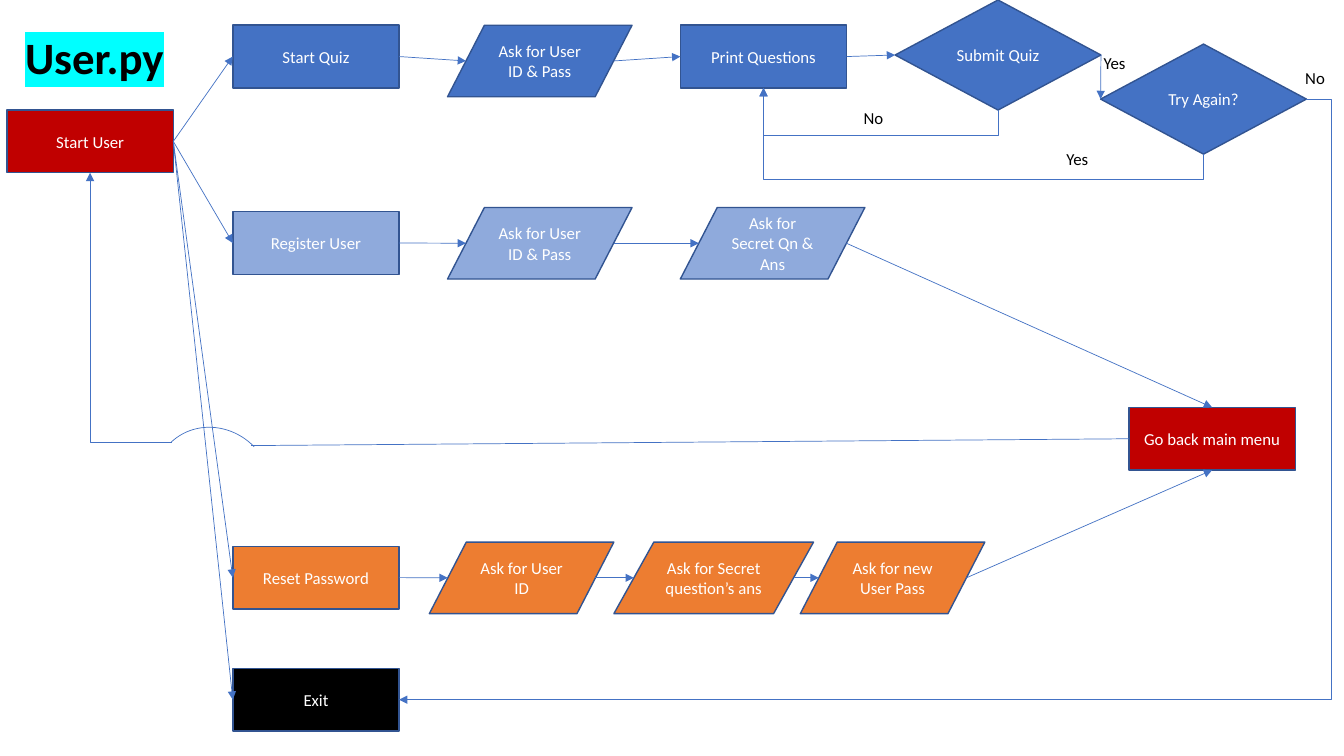
from lxml import etree
from pptx import Presentation
from pptx.dml.color import RGBColor
from pptx.enum import shapes, text
from pptx.oxml import ns
from pptx.util import Pt

# Content: colours
RED, BLUE, PALE, ORANGE, BLACK = "C00000", "4472C4", "8FAADC", "ED7D31", "000000"
WHITE, EDGE, MARK = "FFFFFF", "325491", "00FFFF"

# Content: kinds of step (preset, width, height, inset of the side anchors)
KINDS = {
    "process": (shapes.MSO_SHAPE.FLOWCHART_PROCESS, 118.8, 44.8, 0),
    "input": (shapes.MSO_SHAPE.FLOWCHART_DATA, 131.8, 51.1, 0.1),
    "decision": (shapes.MSO_SHAPE.FLOWCHART_DECISION, 147, 78.6, 0),
}
COLUMN = 166.3
WIDE_INPUT = 142.6

# Content: steps (key: kind, wording, colour, left, top, optional width)
STEPS = {
    "start": ("process", "Start User", RED, 5, 78.6),
    "quiz": ("process", "Start Quiz", BLUE, COLUMN, 18),
    "register": ("process", "Register User", PALE, COLUMN, 151.2),
    "reset": ("process", "Reset Password", ORANGE, COLUMN, 390.2),
    "exit": ("process", "Exit", BLACK, COLUMN, 477.4),
    "quiz login": ("input", "Ask for User ID & Pass", BLUE, 319.7, 18),
    "questions": ("process", "Print Questions", BLUE, 486, 18),
    "submit": ("decision", "Submit Quiz", BLUE, 639.4, 0),
    "again": ("decision", "Try Again?", BLUE, 786.2, 31.5),
    "new login": ("input", "Ask for User ID & Pass", PALE, 319.7, 148.2),
    "secret": ("input", "Ask for Secret Qn & Ans", PALE, 486, 148.2),
    "menu": ("process", "Go back main menu", RED, 806.4, 291),
    "reset id": ("input", "Ask for User ID", ORANGE, 306.7, 387.2),
    "answer": ("input", "Ask for Secret question’s ans", ORANGE, 438.5, 387.2, WIDE_INPUT),
    "new pass": ("input", "Ask for new User Pass", ORANGE, 571.7, 387.2),
}

# Content: straight arrows (step, side, step, side)
ARROWS = [
    ("start", "right", "quiz", "left"),
    ("start", "right", "register", "left"),
    ("start", "right", "reset", "left"),
    ("start", "right", "exit", "left"),
    ("quiz", "right", "quiz login", "left"),
    ("quiz login", "right", "questions", "left"),
    ("questions", "right", "submit", "left"),
    ("submit", "right", "again", "left"),
    ("register", "right", "new login", "left"),
    ("new login", "right", "secret", "left"),
    ("secret", "right", "menu", "top"),
    ("reset", "right", "reset id", "left"),
    ("reset id", "right", "answer", "left"),
    ("answer", "right", "new pass", "left"),
    ("new pass", "right", "menu", "bottom"),
]

# Content: bent arrows (step, side, step, side, distance of the turn from the begin)
LOOPS = [
    ("submit", "bottom", "questions", "bottom", 18),
    ("again", "bottom", "questions", "bottom", 18),
    ("again", "right", "exit", "right", 18),
]

# Content: return line, which hops over the lines from the start
HOP = (111.6, 303.8, 81.4, 87.1)
HOP_LEFT, HOP_RIGHT = (122.7, 315.7), (179.3, 318.3)

# Content: labels (wording, left, top)
LABELS = [("No", 609.8, 73.4), ("Yes", 781.2, 34.2), ("Yes", 754.6, 102.6), ("No", 925.2, 45)]
LABEL_SIZE = (42.5, 21.8)
TITLE, TITLE_BOX = "User.py", (10.8, 18, 132.5, 46)

deck = Presentation()
deck.slide_width, deck.slide_height = Pt(960), Pt(540)
page = deck.slides.add_slide(deck.slide_layouts[6])


def colour(value):
    return RGBColor.from_string(value)


def write(box, words, size=12, ink=WHITE, bold=False, align=None, mark=None):
    box.text_frame.word_wrap = True
    para = box.text_frame.paragraphs[0]
    para.alignment = align
    span = para.add_run()
    span.text = words
    span.font.size, span.font.bold, span.font.name = Pt(size), bold, "Calibri"
    span.font.color.rgb = colour(ink)
    if mark:
        highlight = etree.Element(ns.qn("a:highlight"))
        etree.SubElement(highlight, ns.qn("a:srgbClr"), val=mark)
        span.font._element.find(ns.qn("a:solidFill")).addnext(highlight)


def outline(item, ink, width):
    item.line.color.rgb = colour(ink)
    item.line.width = Pt(width)


def draw_step(kind, words, fill, left, top, width=None):
    preset, usual, height, _ = KINDS[kind]
    box = page.shapes.add_shape(preset, Pt(left), Pt(top), Pt(width or usual), Pt(height))
    box.shadow.inherit = False
    box.fill.solid()
    box.fill.fore_color.rgb = colour(fill)
    outline(box, EDGE, 1)
    box.text_frame.vertical_anchor = text.MSO_ANCHOR.MIDDLE
    write(box, words, align=text.PP_ALIGN.CENTER)


def anchor(key, side):
    kind, _, _, left, top, *wide = STEPS[key]
    _, usual, height, inset = KINDS[kind]
    width = wide[0] if wide else usual
    across, down = {"left": (inset, 0.5), "right": (1 - inset, 0.5),
                    "top": (0.5, 0), "bottom": (0.5, 1)}[side]
    return left + width * across, top + height * down


def connect(begin, end, kind=shapes.MSO_CONNECTOR.STRAIGHT, arrow=True):
    link = page.shapes.add_connector(kind, *(Pt(value) for value in (*begin, *end)))
    outline(link, BLUE, 0.5)
    if arrow:
        etree.SubElement(link.line._get_or_add_ln(), ns.qn("a:tailEnd"), type="triangle")
    etree.SubElement(link._element.spPr, ns.qn("a:effectLst"))
    return link


def bend(begin, end, turn, upright):
    """Elbow that turns after the given distance; upright ones are turned by 90 degrees."""
    across, down = end[0] - begin[0], end[1] - begin[1]
    run = down if upright else across
    if upright:
        middle = (begin[0] + end[0]) / 2, (begin[1] + end[1]) / 2
        begin = middle[0] - down / 2, middle[1] + across / 2
        end = middle[0] + down / 2, middle[1] - across / 2
    link = connect(begin, end, shapes.MSO_CONNECTOR.ELBOW)
    properties = link._element.spPr
    if upright:
        properties.find(ns.qn("a:xfrm")).set("rot", "5400000")
    geometry = properties.find(ns.qn("a:prstGeom"))
    guides = geometry.find(ns.qn("a:avLst"))
    if guides is None:
        guides = etree.SubElement(geometry, ns.qn("a:avLst"))
    etree.SubElement(guides, ns.qn("a:gd"), name="adj1", fmla=f"val {round(turn / run * 100000)}")


# Steps
for step in STEPS.values():
    draw_step(*step)

# Arrows between steps
for source, leave, target, enter in ARROWS:
    connect(anchor(source, leave), anchor(target, enter))
for source, leave, target, enter, turn in LOOPS:
    bend(anchor(source, leave), anchor(target, enter), turn, leave == "bottom")

# Return from the menu to the start
connect(anchor("menu", "left"), HOP_RIGHT, arrow=False)
hop = page.shapes.add_shape(shapes.MSO_SHAPE.ARC, *(Pt(value) for value in HOP))
hop.rotation = 316
hop.shadow.inherit = False
hop.fill.background()
outline(hop, BLUE, 0.5)
bend(HOP_LEFT, anchor("start", "bottom"), 0, True)

# Labels and title
for words, left, top in LABELS:
    label = page.shapes.add_textbox(Pt(left), Pt(top), *(Pt(value) for value in LABEL_SIZE))
    write(label, words, ink=BLACK)
title = page.shapes.add_textbox(*(Pt(value) for value in TITLE_BOX))
write(title, TITLE, size=32, ink=BLACK, bold=True, mark=MARK)

deck.save("out.pptx")
